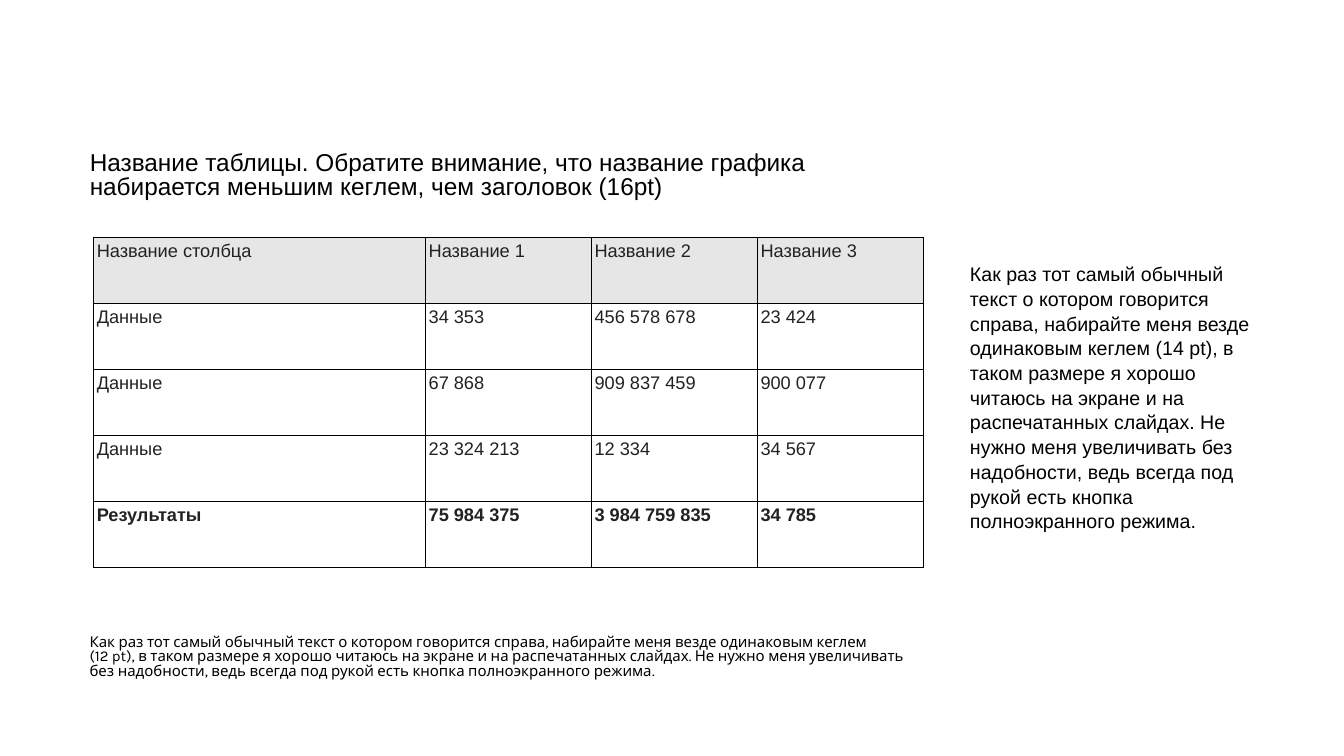
from dataclasses import dataclass

from lxml.etree import SubElement
from pptx import Presentation
from pptx.dml.color import RGBColor
from pptx.enum.text import MSO_ANCHOR, MSO_AUTO_SIZE, PP_ALIGN
from pptx.oxml.ns import qn
from pptx.util import Inches, Pt


@dataclass(frozen=True)
class Theme:
    font: str = "Arial"
    note_font: str = "Karla"
    ink: str = "000000"
    cell_ink: str = "222222"
    head_fill: str = "E7E6E6"
    title: float = 17.4
    body: float = 14
    cell: float = 13
    note: float = 10.7
    rule: float = 1
    pad: float = 0.03


class Page:
    def __init__(self, deck, theme):
        self.theme = theme
        self.slide = deck.slides.add_slide(deck.slide_layouts[1])

    def style(self, par, size, font=None, color=None, bold=False):
        par.alignment = PP_ALIGN.LEFT
        par.font.name = font or self.theme.font
        par.font.size = Pt(size)
        par.font.bold = bold
        par.font.color.rgb = RGBColor.from_string(color or self.theme.ink)

    def put(self, shape, box, text, size, font=None, lead=1.0, before=0):
        """Place a text shape and fill it, one paragraph per line of text."""
        shape.left, shape.top, shape.width, shape.height = map(Inches, box)
        frame = shape.text_frame
        frame.word_wrap = True
        frame.auto_size = MSO_AUTO_SIZE.NONE
        frame.vertical_anchor = MSO_ANCHOR.TOP
        frame.text = text
        for par in frame.paragraphs:
            self.style(par, size, font)
            par.line_spacing = lead
            par.space_before = Pt(before)

    def title(self, box, text):
        self.put(self.slide.shapes.title, box, text, self.theme.title, lead=0.8)

    def body(self, box, text):
        shape = self.slide.placeholders[1]
        self.put(shape, box, text, self.theme.body, lead=1.05, before=12.5)
        for par in shape.text_frame.paragraphs:
            props = par._p.get_or_add_pPr()
            props.set("marL", "0")
            props.set("indent", "0")
            SubElement(props, qn("a:buNone"))

    def note(self, box, text):
        shape = self.slide.shapes.add_textbox(*map(Inches, box))
        self.put(shape, box, text, self.theme.note,
                 self.theme.note_font, lead=0.8, before=23)

    def border(self, cell):
        props = cell._tc.get_or_add_tcPr()
        for side in ("lnL", "lnR", "lnT", "lnB"):
            line = SubElement(props, qn(f"a:{side}"), w=str(Pt(self.theme.rule)))
            fill = SubElement(line, qn("a:solidFill"))
            SubElement(fill, qn("a:srgbClr"), val=self.theme.ink)

    def table(self, box, rows, shares):
        """Draw a grid with a shaded first row and a bold last row."""
        frame = self.slide.shapes.add_table(
            len(rows), len(shares), *map(Inches, box))
        grid = frame.table
        grid.first_row = grid.horz_banding = False
        for col, share in zip(grid.columns, shares):
            col.width = Inches(box[2] * share / sum(shares))
        for i, row in enumerate(rows):
            for j, text in enumerate(row):
                self.cell(grid.cell(i, j), text, i == 0, i == len(rows) - 1)

    def cell(self, cell, text, head, total):
        cell.text = text
        cell.margin_left = cell.margin_right = Inches(self.theme.pad)
        cell.margin_top = cell.margin_bottom = Inches(self.theme.pad)
        self.style(cell.text_frame.paragraphs[0], self.theme.cell,
                   color=self.theme.cell_ink, bold=total)
        self.border(cell)
        if head:
            cell.fill.solid()
            cell.fill.fore_color.rgb = RGBColor.from_string(self.theme.head_fill)
        else:
            cell.fill.background()


ROWS = [
    ("Название столбца", "Название 1", "Название 2", "Название 3"),
    ("Данные", "34 353", "456 578 678", "23 424"),
    ("Данные", "67 868", "909 837 459", "900 077"),
    ("Данные", "23 324 213", "12 334", "34 567"),
    ("Результаты", "75 984 375", "3 984 759 835", "34 785"),
]
ADVICE = (
    "Как раз тот самый обычный текст о котором говорится справа, "
    "набирайте меня везде одинаковым кеглем {}, в таком размере я хорошо "
    "читаюсь на экране и на распечатанных слайдах. Не нужно меня увеличивать "
    "без надобности, ведь всегда под рукой есть кнопка полноэкранного режима."
)


def main():
    deck = Presentation()
    deck.slide_width, deck.slide_height = Inches(13.33), Inches(7.5)
    page = Page(deck, Theme())
    page.title((0.79, 1.47, 8.49, 0.63),
               "Название таблицы. Обратите внимание, что название графика\n"
               "набирается меньшим кеглем, чем заголовок (16pt)")
    page.note((0.79, 6.26, 8.49, 0.6), ADVICE.format("\v(12 pt)"))
    page.table((0.93, 2.36, 8.23, 3.27), ROWS, (2, 1, 1, 1))
    page.body((9.52, 2.54, 3.23, 2.96), ADVICE.format("(14 pt)"))
    deck.save("out.pptx")


if __name__ == "__main__":
    main()
